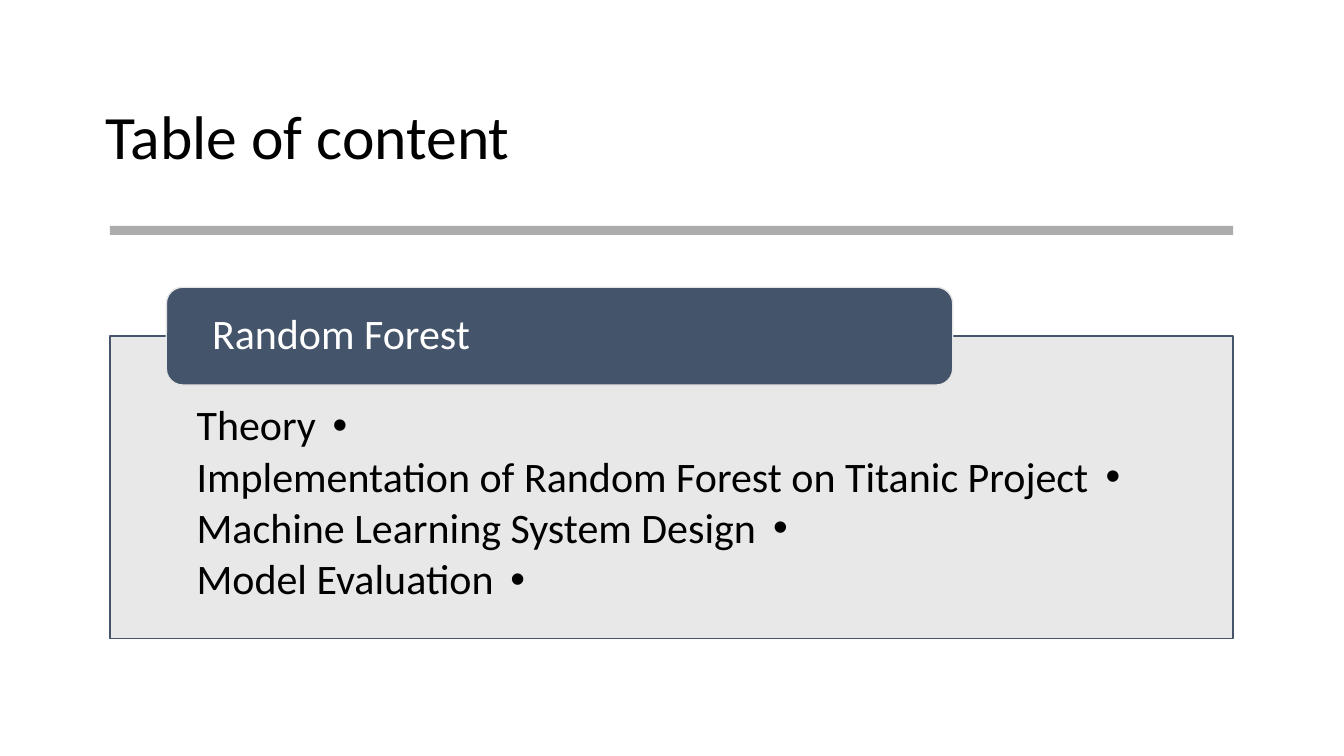
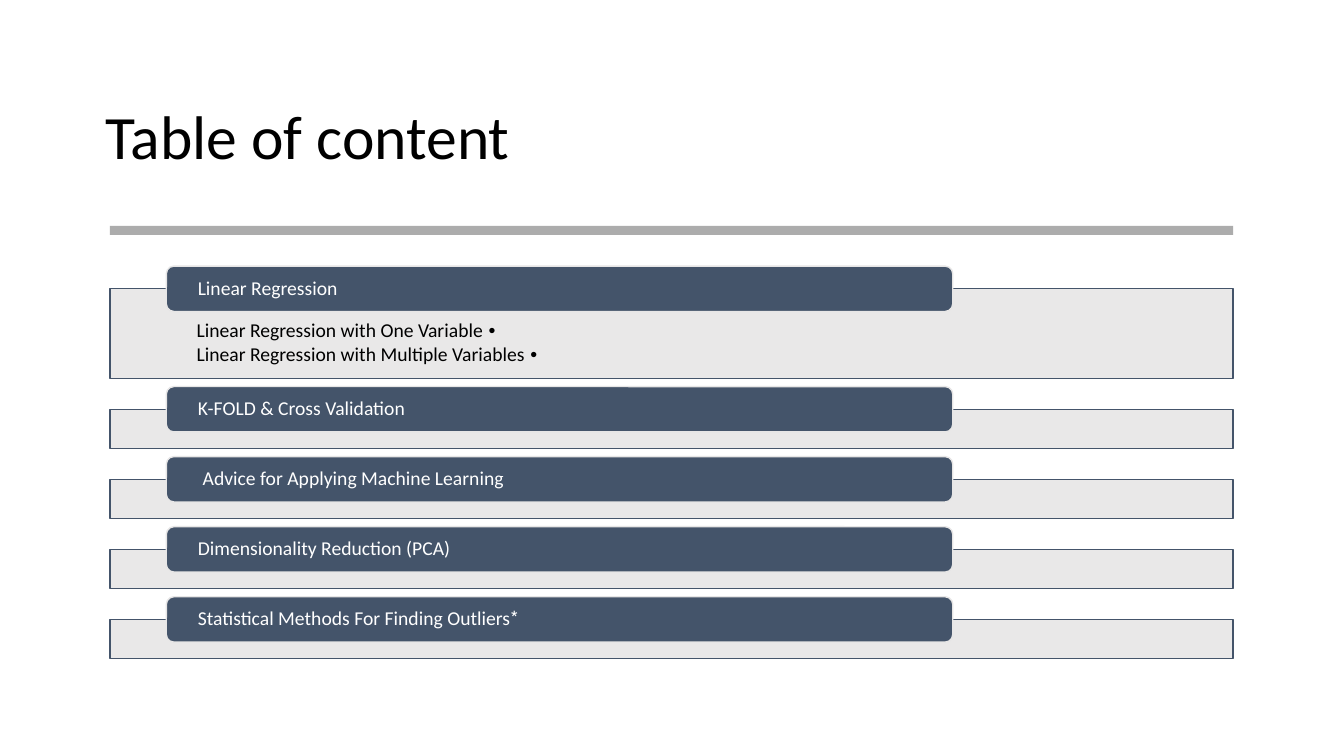
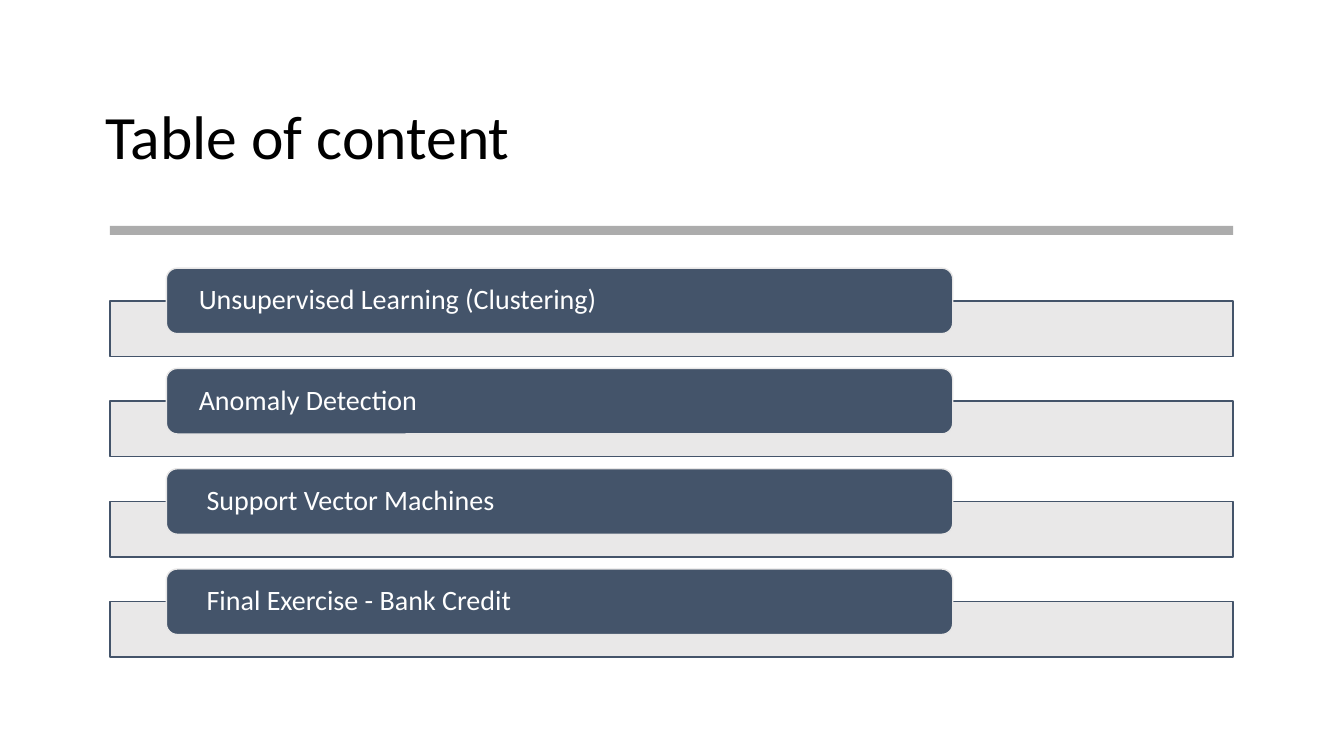
from lxml.etree import SubElement
from pptx import Presentation
from pptx.dml.color import RGBColor
from pptx.enum.shapes import MSO_SHAPE
from pptx.enum.text import MSO_ANCHOR, PP_ALIGN
from pptx.oxml.ns import qn
from pptx.util import Inches, Pt

FONT = "Calibri"
BLACK, WHITE = "000000", "FFFFFF"
NAVY, PALE, GRAY = "44546A", "E7E6E6", "808080"
LEFT, WIDTH = 1.09, 11.14
PILL_LEFT, PILL_WIDTH = 1.65, 7.8


def color(code):
    """Turn a hex string into a colour."""
    return RGBColor.from_string(code)


def add_box(slide, kind, at, fill, line=None, alpha=100):
    """Add a flat shape; alpha is its opacity in percent."""
    box = slide.shapes.add_shape(kind, *map(Inches, at))
    box.shadow.inherit = False
    box.fill.solid()
    box.fill.fore_color.rgb = color(fill)
    if alpha < 100:
        tint = box.fill._xPr.find(".//" + qn("a:srgbClr"))
        SubElement(tint, qn("a:alpha")).set("val", str(alpha * 1000))
    if line:
        box.line.color.rgb = color(line)
        box.line.width = Pt(1)
    else:
        box.line.fill.background()
    return box


def set_frame(shape, anchor, insets=None):
    """Set wrapping, anchor and insets, and return the text frame."""
    frame = shape.text_frame
    frame.word_wrap = True
    frame.vertical_anchor = anchor
    if insets:
        (frame.margin_left, frame.margin_top,
         frame.margin_right, frame.margin_bottom) = map(Inches, insets)
    return frame


def add_text(par, text, size, ink, rtl=True):
    """Fill a paragraph with one left-aligned run."""
    par.alignment = PP_ALIGN.LEFT
    par.line_spacing = 0.9
    if rtl:
        par._p.get_or_add_pPr().set("rtl", "1")
    run = par.add_run()
    run.text = text
    run.font.name = FONT
    run.font.size = Pt(size)
    run.font.color.rgb = color(ink)


def add_bullet(par, size, indent):
    """Give a paragraph a bullet with a hanging indent."""
    par.space_after = Pt(size * 0.14)
    props = par._p.get_or_add_pPr()
    props.set("marL", str(Inches(indent)))
    props.set("indent", str(-Inches(indent)))
    SubElement(props, qn("a:buFont")).set("typeface", "Arial")
    SubElement(props, qn("a:buChar")).set("char", "•")


def add_panel(slide, top, height, points, size, insets, indent):
    """Add the pale panel with its bullet points, if any."""
    panel = add_box(slide, MSO_SHAPE.RECTANGLE, (LEFT, top, WIDTH, height),
                    PALE, NAVY, 90)
    if not points:
        return
    frame = set_frame(panel, MSO_ANCHOR.TOP, insets)
    for i, point in enumerate(points):
        par = frame.add_paragraph() if i else frame.paragraphs[0]
        add_text(par, point, size, BLACK)
        add_bullet(par, size, indent)


def add_pill(slide, top, height, text, size):
    """Add the dark rounded heading of a topic."""
    pill = add_box(slide, MSO_SHAPE.ROUNDED_RECTANGLE,
                   (PILL_LEFT, top, PILL_WIDTH, height), NAVY, PALE)
    frame = set_frame(pill, MSO_ANCHOR.MIDDLE, (0.29, 0, 0.29, 0))
    add_text(frame.paragraphs[0], text, size, WHITE)


def add_topics(slide, topics, top, size, pill, gap=0, insets=None, indent=0):
    """Stack topics of (heading, panel height, points) down the slide."""
    for head, height, points in topics:
        base = top + pill / 2
        add_panel(slide, base, height, points, size, insets, indent)
        add_pill(slide, top, pill, head, size)
        top = base + height + gap


def add_page(deck):
    """Add a slide with the shared title and rule."""
    slide = deck.slides.add_slide(deck.slide_layouts[6])
    title = slide.shapes.add_textbox(*map(Inches, (0.95, 0.66, 11.43, 1.45)))
    frame = set_frame(title, MSO_ANCHOR.MIDDLE)
    add_text(frame.paragraphs[0], "Table of content", 44, BLACK, rtl=False)
    add_box(slide, MSO_SHAPE.RECTANGLE, (LEFT, 2.24, WIDTH, 0.09),
            GRAY, alpha=65)
    return slide


def main():
    """Build and save the deck."""
    deck = Presentation()
    deck.slide_width, deck.slide_height = Inches(13.33), Inches(7.5)

    forest = [("Random Forest\u00a0", 3, [
        "Theory",
        "Implementation of Random Forest on Titanic Project",
        "Machine Learning System Design",
        "Model Evaluation"])]
    add_topics(add_page(deck), forest, top=2.85, size=30, pill=0.97,
               insets=(0.86, 0.68, 0.86, 0.23), indent=0.31)

    basics = [("Linear Regression", 0.89, [
        "Linear Regression with One Variable",
        "Linear Regression with Multiple Variables"])]
    basics += [(head, 0.39, []) for head in (
        "K-FOLD & Cross Validation",
        "Advice for Applying Machine Learning ",
        "Dimensionality Reduction (PCA)",
        "*Statistical Methods For Finding Outliers")]
    add_topics(add_page(deck), basics, top=2.64, size=14, pill=0.45, gap=0.08,
               insets=(0.86, 0.32, 0.86, 0.11), indent=0.12)

    final = [(head, 0.55, []) for head in (
        "Unsupervised Learning (Clustering)",
        "Anomaly Detection",
        "Support Vector Machines\u00a0",
        "Final Exercise -\u00a0Bank Credit\u00a0")]
    add_topics(add_page(deck), final, top=2.66, size=20, pill=0.65, gap=0.12)

    deck.save("out.pptx")


main()
